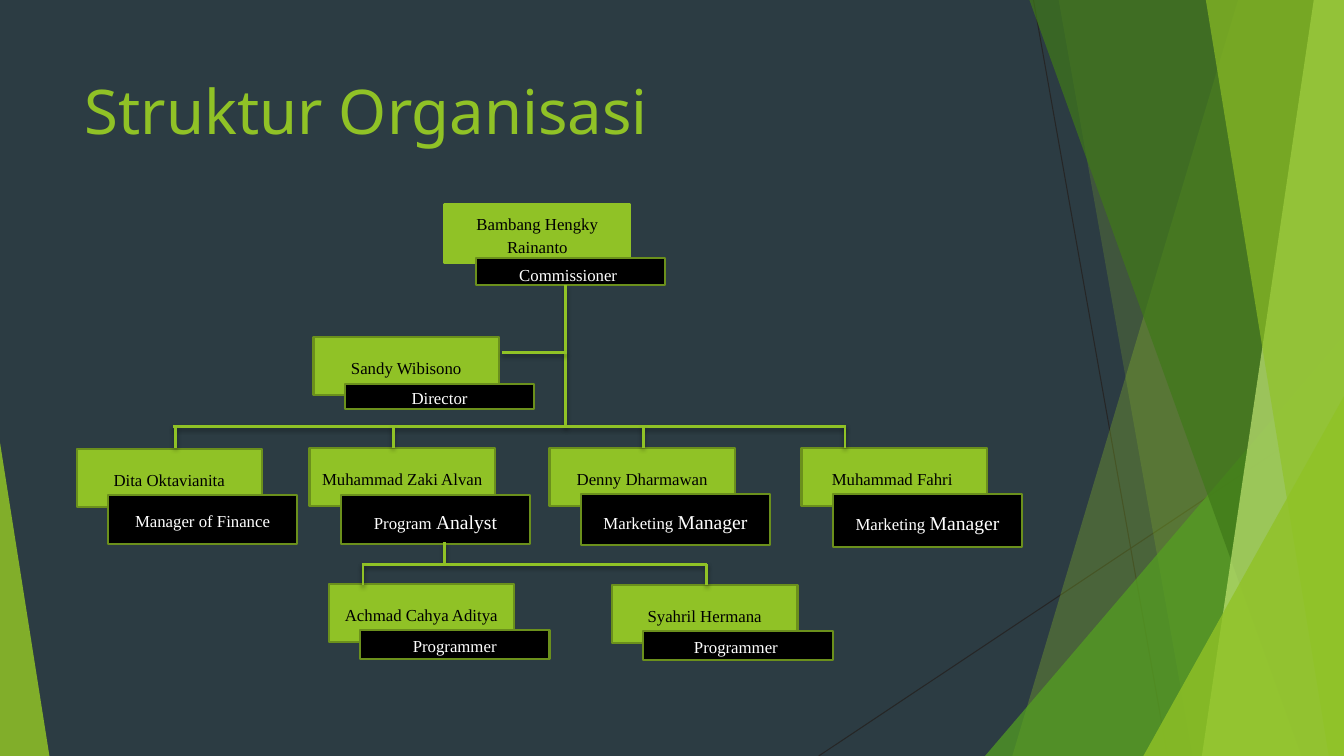
from lxml import etree
from pptx import Presentation
from pptx.dml.color import RGBColor
from pptx.enum import shapes, text
from pptx.oxml import ns
from pptx.util import Inches, Pt

SLATE = RGBColor(0x2C, 0x3C, 0x43)
LIME = RGBColor(0x90, 0xC2, 0x26)
OLIVE = RGBColor(0x6B, 0x90, 0x1C)
GREEN = RGBColor(0x54, 0xA0, 0x21)
FOREST = RGBColor(0x3F, 0x78, 0x19)
PALE = RGBColor(0xC0, 0xE4, 0x74)
CHARCOAL = RGBColor(0x26, 0x26, 0x26)
BLACK = RGBColor(0, 0, 0)
WHITE = RGBColor(255, 255, 255)

WIDTH, HEIGHT = 13.33, 7.5
NAME_SIZE = (1.84, 0.58)
ROLE_WIDTH, ROLE_SHIFT = 1.88, 0.31

# Name, role spans (text, size), left, top, role offset, role height, name border
STAFF = [
    ("Bambang Hengky Rainanto", [("Commissioner", 12), ("\u00a0", 14)],
     3.65, 0, 0.53, 0.27, (LIME, 2)),
    ("Sandy Wibisono", [("Director", 12)], 2.35, 1.31, 0.47, 0.25, (OLIVE, 1.5)),
    ("Dita Oktavianita", [("Manager of Finance", 12)],
     0, 2.42, 0.46, 0.49, (OLIVE, 1.5)),
    ("Muhammad Zaki Alvan", [("Program ", 12), ("Analyst", 14)],
     2.31, 2.41, 0.47, 0.49, (OLIVE, 1.5)),
    ("Denny Dharmawan", [("Marketing ", 12), ("Manager", 14)],
     4.69, 2.41, 0.46, 0.51, (OLIVE, 1.5)),
    ("Muhammad Fahri ", [("Marketing ", 12), ("Manager", 14)],
     7.19, 2.41, 0.46, 0.53, (OLIVE, 1.5)),
    ("Achmad Cahya Aditya", [("Programmer", 12)],
     2.5, 3.76, 0.46, 0.29, (OLIVE, 1.5)),
    ("Syahril Hermana", [("Programmer\u00a0", 12)],
     5.31, 3.77, 0.46, 0.29, (OLIVE, 1.5)),
]


def write_text(box, spans, font="Times New Roman", color=BLACK,
               align=text.PP_ALIGN.CENTER, anchor=text.MSO_ANCHOR.MIDDLE, spacing=1.15):
    """Write (text, size) spans as one paragraph in a box."""
    frame = box.text_frame
    frame.word_wrap = True
    frame.auto_size = text.MSO_AUTO_SIZE.NONE
    frame.vertical_anchor = anchor
    para = frame.paragraphs[0]
    para.alignment, para.line_spacing = align, spacing
    for words, size in spans:
        span = para.add_run()
        span.text = words
        span.font.name, span.font.size = font, Pt(size)
        span.font.color.rgb = color


def paint(shape, color, alpha=100, border=None):
    """Fill a shape, with optional transparency and (colour, width) border."""
    shape.shadow.inherit = False
    shape.fill.solid()
    shape.fill.fore_color.rgb = color
    if alpha < 100:
        tone = shape.fill._xPr.find(".//" + ns.qn("a:srgbClr"))
        etree.SubElement(tone, ns.qn("a:alpha"), val=str(alpha * 1000))
    if border:
        shape.line.color.rgb, shape.line.width = border[0], Pt(border[1])
    else:
        shape.line.fill.background()


def add_line(page, start, end, color=LIME, width=2, shadow=True):
    """Draw a straight line, with a soft shadow below it if wanted."""
    line = page.shapes.add_connector(
        shapes.MSO_CONNECTOR.STRAIGHT, *[Inches(value) for value in (*start, *end)])
    line.line.color.rgb, line.line.width = color, Pt(width)
    effects = etree.SubElement(line._element.spPr, ns.qn("a:effectLst"))
    if shadow:
        cast = etree.SubElement(effects, ns.qn("a:outerShdw"), blurRad=str(Pt(3)),
                                dist=str(Pt(2)), dir="5400000", rotWithShape="0")
        tone = etree.SubElement(cast, ns.qn("a:srgbClr"), val="000000")
        etree.SubElement(tone, ns.qn("a:alpha"), val="35000")


def add_box(page, left, top, width, height, color, kind=shapes.MSO_SHAPE.RECTANGLE, **look):
    """Add a painted preset shape."""
    box = page.shapes.add_shape(kind, *[Inches(v) for v in (left, top, width, height)])
    paint(box, color, **look)
    return box


def add_facet(page, top_left, bottom_left, color, alpha):
    """Add a full-height facet that ends at the right edge of the slide."""
    builder = page.shapes.build_freeform(Inches(top_left), 0, scale=1.0)
    corners = [(WIDTH, 0), (WIDTH, HEIGHT), (bottom_left, HEIGHT)]
    builder.add_line_segments([(Inches(x), Inches(y)) for x, y in corners], close=True)
    paint(builder.convert_to_shape(), color, alpha)


def add_corner(page, left, top, width, color, alpha, apex):
    """Add a triangle standing on the bottom edge; apex 0 is left, 1 is right."""
    corner = add_box(page, left, top, width, HEIGHT - top, color,
                     kind=shapes.MSO_SHAPE.ISOSCELES_TRIANGLE, alpha=alpha)
    corner.adjustments[0] = apex


def add_backdrop(page):
    """Draw the background colour, thin lines and green facets."""
    page.background.fill.solid()
    page.background.fill.fore_color.rgb = SLATE
    for start, end in [((10.25, 0), (11.58, HEIGHT)), ((WIDTH, 4.03), (8.12, HEIGHT))]:
        add_line(page, start, end, CHARCOAL, 0.75, shadow=False)
    add_facet(page, 12.28, 10.04, LIME, 30)
    add_facet(page, 10.5, 11.83, LIME, 20)
    add_corner(page, 9.77, 3.33, 3.56, GREEN, 72, apex=1)
    add_facet(page, 10.21, 12.91, FOREST, 70)
    add_facet(page, 13.03, 11.92, PALE, 70)
    add_facet(page, 11.96, 13.18, LIME, 65)
    add_corner(page, 11.34, 3.93, 1.99, LIME, 80, apex=1)
    add_corner(page, 0, 4.39, 0.49, LIME, 85, apex=0)


def add_title(page, left, top, width, height):
    """Place and format the title placeholder."""
    title = page.shapes.title
    title.left, title.top = Inches(left), Inches(top)
    title.width, title.height = Inches(width), Inches(height)
    write_text(title, [("Struktur Organisasi", 44)], font="Noto Sans", color=LIME,
               align=text.PP_ALIGN.LEFT, anchor=text.MSO_ANCHOR.TOP, spacing=1)


def add_card(page, left, top, name, role, offset, role_height, border):
    """Add a name box with its role box overlapping the lower right."""
    name_box = add_box(page, left, top, *NAME_SIZE, LIME, border=border)
    write_text(name_box, [(name, 12)])
    role_box = add_box(page, left + ROLE_SHIFT, top + offset, ROLE_WIDTH, role_height,
                       BLACK, border=(OLIVE, 1.5))
    write_text(role_box, role, color=WHITE)


def add_branch(page, left, right, y, drops, length):
    """Draw a horizontal rail with vertical drops to the cards below."""
    add_line(page, (left, y), (right, y))
    for x in drops:
        add_line(page, (x, y), (x, y + length))


def add_chart_tree(page, left, top):
    """Draw all staff cards and the lines that join them."""
    for name, role, x, y, offset, role_height, border in STAFF:
        add_card(page, left + x, top + y, name, role, offset, role_height, border)
    for x1, y1, x2, y2 in [(4.85, 0.8, 4.85, 2.21), (4.22, 1.47, 4.86, 1.47),
                           (3.65, 3.35, 3.65, 3.56)]:
        add_line(page, (left + x1, top + y1), (left + x2, top + y2))
    add_branch(page, left + 0.96, left + 7.63, top + 2.2,
               [left + x for x in (0.98, 3.14, 5.62, 7.62)], 0.21)
    add_branch(page, left + 2.83, left + 6.25, top + 3.57,
               [left + x for x in (2.84, 6.25)], 0.2)


def main():
    """Build and save the deck."""
    deck = Presentation()
    deck.slide_width, deck.slide_height = Inches(WIDTH), Inches(HEIGHT)
    page = deck.slides.add_slide(deck.slide_layouts[5])
    add_backdrop(page)
    add_title(page, 0.74, 0.67, 9.4, 1.44)
    add_chart_tree(page, 0.76, 2.03)
    deck.save("out.pptx")


main()
